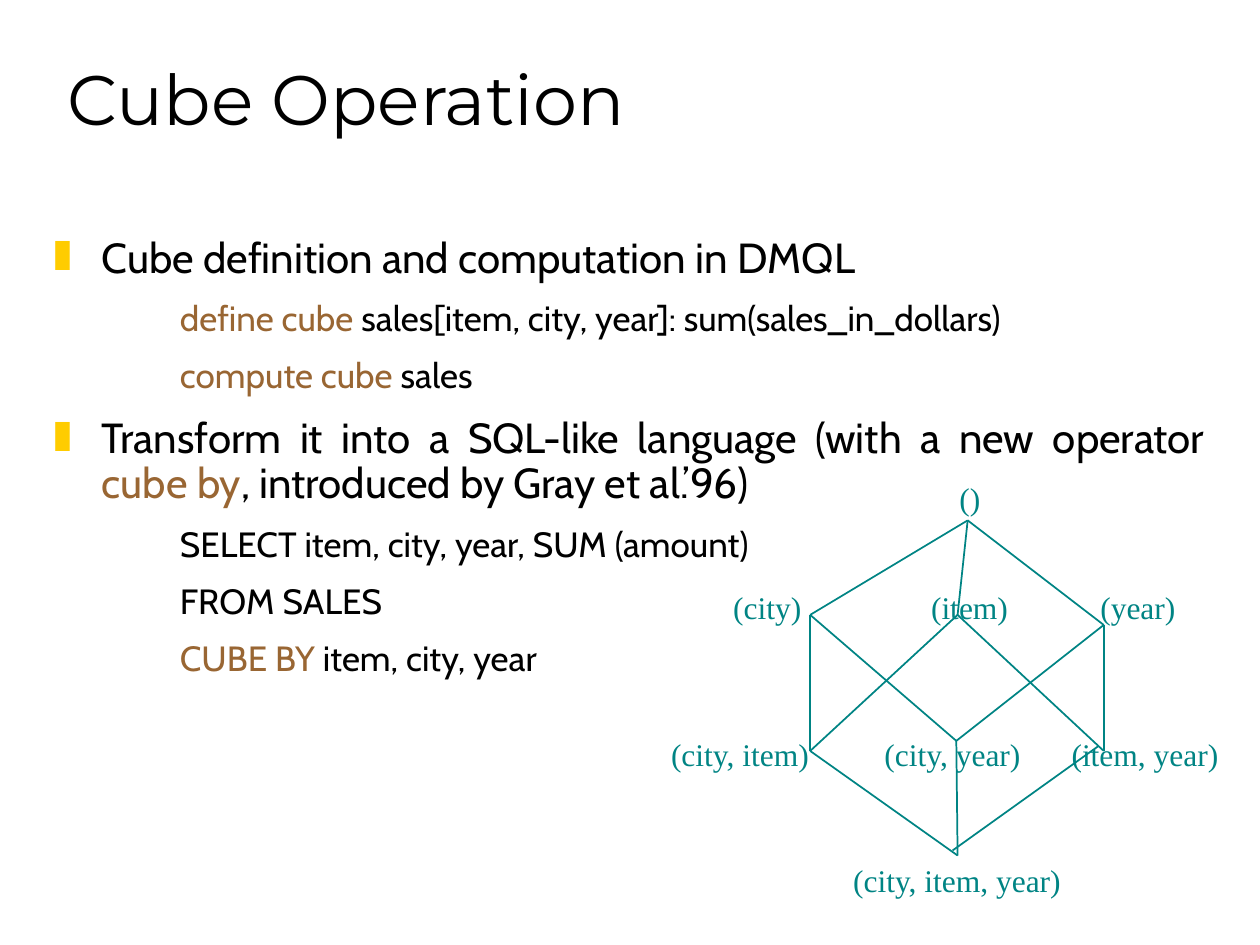
from lxml import etree
from pptx import Presentation, util as u
from pptx.dml.color import RGBColor
from pptx.enum import shapes, text
from pptx.oxml.ns import qn

BLACK, BROWN, TEAL, GOLD = "000000", "996633", "008484", "FFCC00"


def add_box(left, top, width, height, inset=(0, 0)):
    """Add a text box in inches; inset is (sides, top and bottom)."""
    box = page.shapes.add_textbox(*map(u.Inches, (left, top, width, height)))
    frame = box.text_frame
    frame.margin_left = frame.margin_right = u.Inches(inset[0])
    frame.margin_top = frame.margin_bottom = u.Inches(inset[1])
    return frame


def add_span(para, words, font, size, color):
    span = para.add_run()
    span.text = words
    span.font.name = font
    span.font.size = u.Pt(size)
    span.font.color.rgb = RGBColor.from_string(color)


deck = Presentation()
deck.slide_width, deck.slide_height = u.Inches(10), u.Inches(7.5)
page = deck.slides.add_slide(deck.slide_layouts[6])

# Title
title = add_box(0.44, 0.25, 8.5, 0.91, (0.1, 0.05))
title.word_wrap = True
title.vertical_anchor = text.MSO_ANCHOR.BOTTOM
add_span(title.paragraphs[0], "Cube Operation", "Montserrat", 40, BLACK)

# Body: (level, spans of words and colour)
lines = [
    (0, [("Cube definition and computation in DMQL", BLACK)]),
    (1, [("define cube ", BROWN),
         ("sales[item, city, year]: sum(sales_in_dollars)", BLACK)]),
    (1, [("compute cube", BROWN), (" sales", BLACK)]),
    (0, [("Transform it into a SQL-like language (with a new operator ", BLACK),
         ("cube by", BROWN), (", introduced by Gray et al.’96)", BLACK)]),
    (1, [("SELECT item, city, year, SUM (amount)", BLACK)]),
    (1, [("FROM SALES", BLACK)]),
    (1, [("CUBE BY", BROWN), (" item, city, year", BLACK)]),
]
sizes, margins, hangs, gaps = (24, 20), (0.38, 1.25), (0.38, 0.25), (6, 5)
body = add_box(0.33, 1.83, 9.33, 5.42, (0.1, 0.05))
body.word_wrap = True
for number, (level, spans) in enumerate(lines):
    para = body.add_paragraph() if number else body.paragraphs[0]
    para.alignment = text.PP_ALIGN.JUSTIFY
    para.line_spacing = 0.9
    para.space_before = u.Pt(gaps[level] if number else 0)
    para.space_after = u.Pt(6)
    props = para._p.get_or_add_pPr()
    props.set("lvl", str(2 * level))
    props.set("marL", str(u.Inches(margins[level])))
    props.set("indent", str(-u.Inches(hangs[level])))
    if level == 0:
        color = etree.SubElement(props, qn("a:buClr"))
        etree.SubElement(color, qn("a:srgbClr"), val=GOLD)
        etree.SubElement(props, qn("a:buFont"), typeface="Times New Roman")
        etree.SubElement(props, qn("a:buChar"), char="❚")
    else:
        etree.SubElement(props, qn("a:buNone"))
    for words, color in spans:
        add_span(para, words, "Cabin", sizes[level], color)

# Lattice of group-bys: three columns, corners named by their dimensions
left, middle, right = 6.43, 7.6, 8.76
corners = {
    "none": (7.68, 4.13),
    "city": (left, 4.88), "item": (middle, 4.88), "year": (right, 4.96),
    "city item": (left, 5.96), "city year": (middle - 0.01, 5.88),
    "item year": (right, 5.96), "all": (middle, 6.79),
}
edges = [
    ("none", "city"), ("none", "item"), ("none", "year"),
    ("city", "city item"), ("city", "city year"),
    ("item", "city item"), ("item", "item year"),
    ("year", "city year"), ("year", "item year"),
    ("city item", "all"), ("city year", "all"), ("item year", "all"),
]
for start, end in edges:
    # The last edge sits slightly up and left of its corners
    shift = 0.04 if (start, end) == ("item year", "all") else 0
    ends = [u.Inches(value - shift) for value in corners[start] + corners[end]]
    line = page.shapes.add_connector(shapes.MSO_CONNECTOR.STRAIGHT, *ends)
    line.line.color.rgb = RGBColor.from_string(TEAL)
    line.line.width = u.Pt(1)
    etree.SubElement(line._element.spPr, qn("a:effectLst"))

# Labels: words, right edge, top, width with room to spare on the left
labels = [
    ("()", 7.78, 3.8, 0.25),
    ("(city)", 6.36, 4.67, 0.65),
    ("(item)", 8, 4.67, 0.75),
    ("(year)", 9.33, 4.67, 0.7),
    ("(city, item)", 6.42, 5.83, 1.2),
    ("(city, year)", 8.1, 5.83, 1.2),
    ("(item, year)", 9.67, 5.83, 1.25),
    ("(city, item, year)", 8.42, 6.83, 1.75),
]
for words, edge, top, width in labels:
    label = add_box(edge - width, top, width, 0.3)
    label.word_wrap = True
    label.paragraphs[0].alignment = text.PP_ALIGN.RIGHT
    add_span(label.paragraphs[0], words, "Times New Roman", 18, TEAL)

deck.save("out.pptx")
